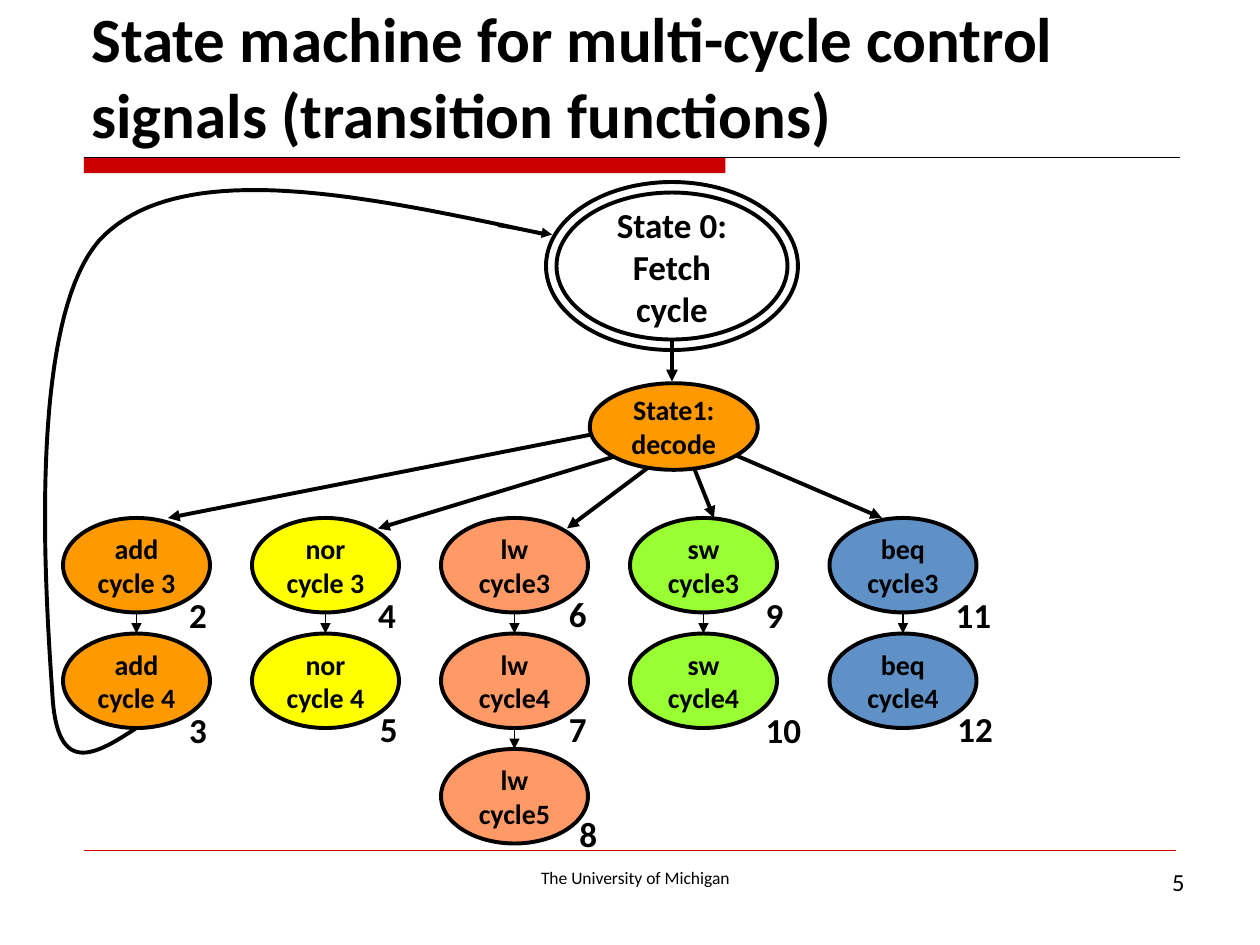
from dataclasses import dataclass
from typing import Optional

from lxml.etree import SubElement
from pptx import Presentation
from pptx.dml.color import RGBColor
from pptx.enum.shapes import MSO_CONNECTOR as Connector, MSO_SHAPE as Shape
from pptx.enum.text import MSO_ANCHOR as Anchor, MSO_AUTO_SIZE as AutoSize, PP_ALIGN as Align
from pptx.oxml.ns import qn
from pptx.util import Pt

BLACK = RGBColor(0x00, 0x00, 0x00)
RED = RGBColor(0xCC, 0x00, 0x00)
ORANGE = RGBColor(0xFF, 0x99, 0x00)
YELLOW = RGBColor(0xFF, 0xFF, 0x00)
SALMON = RGBColor(0xFF, 0x99, 0x66)
GREEN = RGBColor(0x99, 0xFF, 0x33)
BLUE = RGBColor(0x5F, 0x91, 0xC7)

FONT = "Calibri"
STATE_WIDTH, STATE_HEIGHT = 84, 54
FIRST_ROW, ROW_STEP = 296, 66
CURVE_STEPS = 40

Point = tuple[float, float]


@dataclass
class State:
    label: str
    number: str
    dx: float = 65  # number position relative to the state's ellipse
    dy: float = 39.5


@dataclass
class Instruction:
    name: str
    left: float
    color: RGBColor
    branch_start: Point
    branch_end: Point
    states: list[State]


INSTRUCTIONS = [
    Instruction("add", 36, ORANGE, (342, 247.5), (96, 296),
                [State("cycle 3", "2"), State("cycle 4", "3")]),
    Instruction("nor", 144, YELLOW, (354, 260), (216, 302),
                [State("cycle 3", "4"), State("cycle 4", "5", 66, 39)]),
    Instruction("lw", 252, SALMON, (372, 266), (324, 302),
                [State("cycle3", "6", 66, 39), State("cycle4", "7", 66, 39),
                 State("cycle5", "8", 72, 33)]),
    Instruction("sw", 360, GREEN, (396, 266), (408, 296),
                [State("cycle3", "9", 70.5), State("cycle4", "10", 70.5)]),
    Instruction("beq", 474, BLUE, (420, 260), (504, 296),
                [State("cycle3", "11"), State("cycle4", "12", 66, 39)]),
]

# Cubic segments of the path from the end of add back to the fetch state
RETURN_PATH: list[list[Point]] = [
    [(78, 416), (55.5, 430.5), (33, 445), (30, 398)],
    [(30, 398), (27, 351), (13, 178), (60, 134)],
    [(60, 134), (107, 90), (209.5, 112), (312, 134)],
]


def write(frame, text: str, *, size: float, bold: bool = False, align=Align.LEFT,
          anchor=Anchor.TOP, wrap: bool = True) -> None:
    frame.word_wrap = wrap
    frame.auto_size = AutoSize.NONE
    frame.vertical_anchor = anchor
    frame.text = text
    for para in frame.paragraphs:
        para.alignment = align
        for span in para.runs:
            span.font.name = FONT
            span.font.size = Pt(size)
            span.font.bold = bold
            span.font.color.rgb = BLACK


def add_label(page, text: str, left: float, top: float, width: float, height: float,
              **style) -> None:
    box = page.shapes.add_textbox(Pt(left), Pt(top), Pt(width), Pt(height))
    write(box.text_frame, text, **style)


def add_ellipse(page, left: float, top: float, width: float, height: float, *,
                fill: Optional[RGBColor] = None, text: str = "", size: float = 16,
                wrap: bool = False):
    ellipse = page.shapes.add_shape(Shape.OVAL, Pt(left), Pt(top), Pt(width), Pt(height))
    ellipse.shadow.inherit = False
    if fill is None:
        ellipse.fill.background()
    else:
        ellipse.fill.solid()
        ellipse.fill.fore_color.rgb = fill
    ellipse.line.color.rgb = BLACK
    ellipse.line.width = Pt(2.25)
    if text:
        write(ellipse.text_frame, text, size=size, bold=True, align=Align.CENTER,
              anchor=Anchor.MIDDLE, wrap=wrap)
    return ellipse


def add_line(page, start: Point, end: Point, *, width: float = 2.25,
             color: RGBColor = BLACK, arrow: bool = True):
    line = page.shapes.add_connector(
        Connector.STRAIGHT, *(Pt(value) for value in (*start, *end)))
    line.line.color.rgb = color
    line.line.width = Pt(width)
    if arrow:
        SubElement(line.line._get_or_add_ln(), qn("a:tailEnd"), type="triangle")
    SubElement(line._element.spPr, qn("a:effectLst"))
    return line


def curve_points(segments: list[list[Point]]) -> list[Point]:
    points = [segments[0][0]]
    for segment in segments:
        for step in range(1, CURVE_STEPS + 1):
            t = step / CURVE_STEPS
            weights = ((1 - t) ** 3, 3 * t * (1 - t) ** 2, 3 * t * t * (1 - t), t ** 3)
            points.append((sum(w * x for w, (x, _) in zip(weights, segment)),
                           sum(w * y for w, (_, y) in zip(weights, segment))))
    return points


def add_curve(page, segments: list[list[Point]]) -> None:
    first, *rest = [(Pt(x), Pt(y)) for x, y in curve_points(segments)]
    builder = page.shapes.build_freeform(*first)
    builder.add_line_segments(rest, close=False)
    curve = builder.convert_to_shape()
    curve.shadow.inherit = False
    curve.fill.background()
    curve.line.color.rgb = BLACK
    curve.line.width = Pt(2.25)


def add_instruction(page, item: Instruction) -> None:
    center = item.left + STATE_WIDTH / 2
    for row, state in enumerate(item.states):
        top = FIRST_ROW + row * ROW_STEP
        ellipse = add_ellipse(page, item.left, top, STATE_WIDTH, STATE_HEIGHT,
                              fill=item.color, text=f"{item.name}\n{state.label}")
        if row:
            arrow = add_line(page, (center, top - ROW_STEP + STATE_HEIGHT),
                             (center, top), width=1)
            arrow.end_connect(ellipse, 0)
    for row, state in enumerate(item.states):
        add_label(page, state.number, item.left + state.dx,
                  FIRST_ROW + row * ROW_STEP + state.dy,
                  13.5 + 11 * len(state.number), 31.5, size=20, bold=True, wrap=False)


def main() -> None:
    deck = Presentation()
    deck.slide_width, deck.slide_height = Pt(720), Pt(540)
    page = deck.slides.add_slide(deck.slide_layouts[5])

    # Title and its rule
    title = page.shapes.title
    title.left, title.top, title.width, title.height = Pt(45), Pt(24), Pt(630), Pt(66)
    write(title.text_frame,
          "State machine for multi-cycle control signals (transition functions)",
          size=36, bold=True, anchor=Anchor.BOTTOM)
    bar = page.shapes.add_shape(Shape.RECTANGLE, Pt(48), Pt(90), Pt(366.5), Pt(9))
    bar.shadow.inherit = False
    bar.fill.solid()
    bar.fill.fore_color.rgb = RED
    bar.line.fill.background()
    add_line(page, (48, 90), (674.5, 90), width=0.75, arrow=False)

    # Footer
    add_line(page, (48, 486), (672, 486), width=0.25, color=RED, arrow=False)
    add_label(page, "The University of Michigan", 228, 492, 270, 19.5,
              size=10, align=Align.CENTER)
    add_label(page, "5", 516, 492, 168, 37.5, size=14, align=Align.RIGHT)

    # Fetch and decode, with the branches to the instructions
    add_ellipse(page, 318, 110, 132, 84, text="State 0:\nFetch cycle", size=20, wrap=True)
    for item in INSTRUCTIONS:
        add_line(page, item.branch_start, item.branch_end)
    add_ellipse(page, 337, 219, 96, 49.5, fill=ORANGE, text="State1:\ndecode")
    add_line(page, (384, 194), (384, 218))
    add_ellipse(page, 312, 104, 144, 96)

    # Instruction columns
    for item in INSTRUCTIONS:
        add_instruction(page, item)

    # Return to fetch
    add_curve(page, RETURN_PATH)
    add_line(page, (284.5, 129), (315.5, 134), width=1.5)

    deck.save("out.pptx")


if __name__ == "__main__":
    main()
